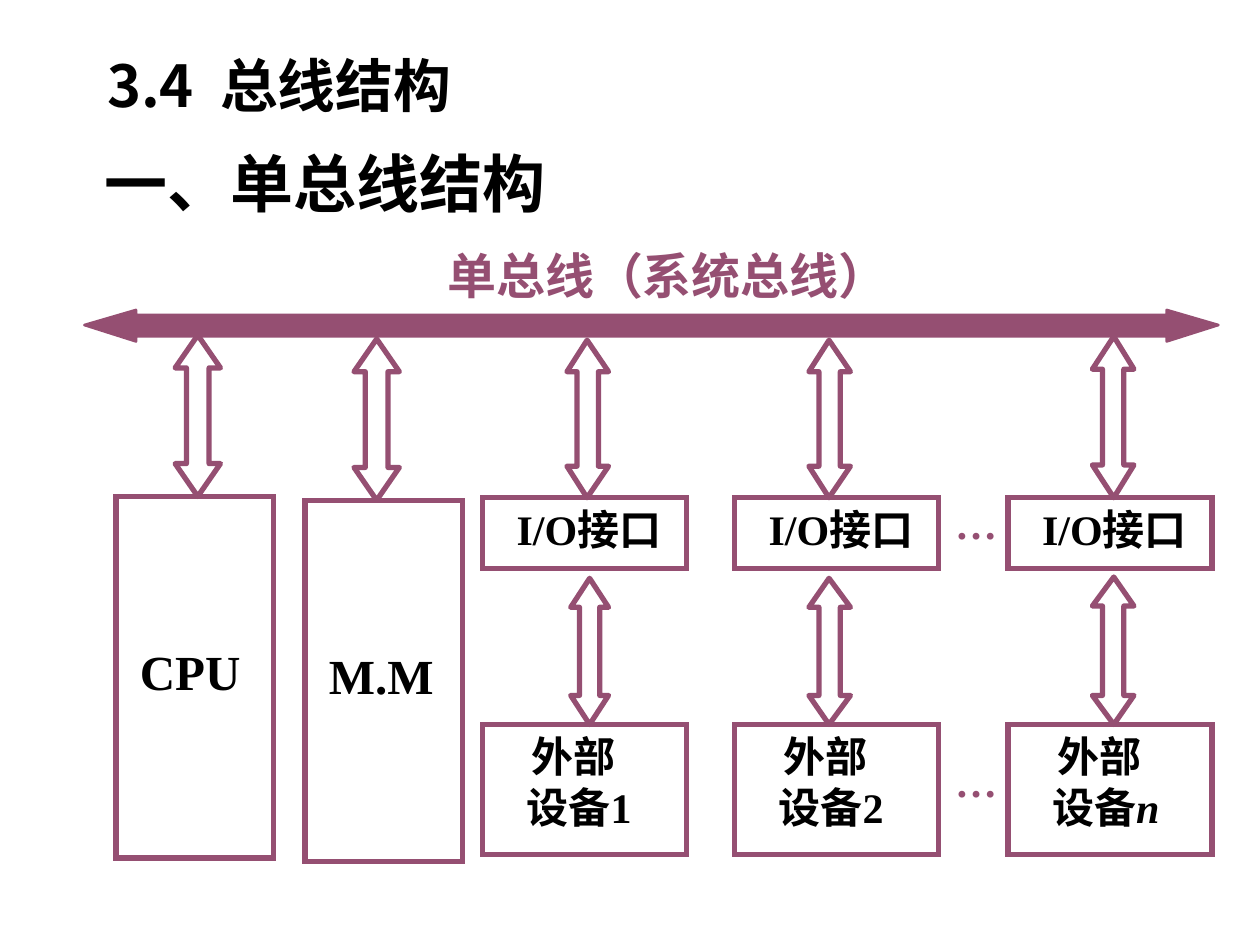
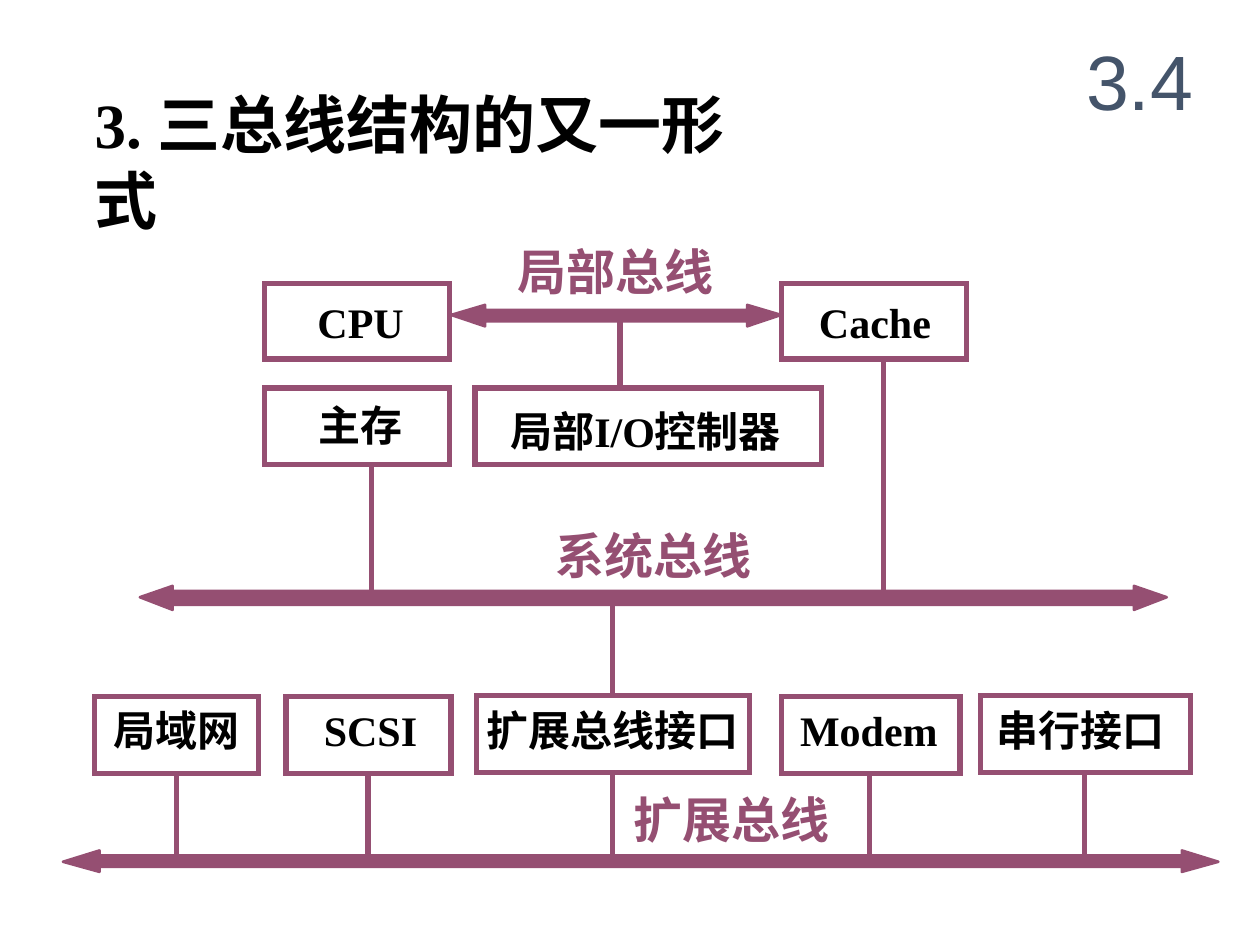
from dataclasses import dataclass

from lxml import etree
from pptx import Presentation
from pptx.dml.color import RGBColor
from pptx.enum import shapes, text
from pptx.oxml.ns import qn
from pptx.util import Pt

PX = 9144  # EMU per px, 100 px to the inch


@dataclass(frozen=True)
class Theme:
    ink: str = "000000"
    bus: str = "954F72"
    number: str = "44546A"
    serif: str = "Times New Roman"
    hei: str = "Noto Sans CJK SC"
    sans: str = "Arial"
    section: int = 33
    heading: int = 36
    corner: int = 44
    large: int = 28
    label: int = 24
    line: float = 3
    bus_line: float = 1.5


T = Theme()

# Content of slide 1: places are left, top, width, height
SINGLE_BUS = (67, 246, 900, 25, 41)  # last value: arrowhead length
UNITS = [("CPU", 92, 394, 139, 266), ("M.M", 242, 397, 281, 269)]
IO_LABEL = "I/O接口"
DEVICES = [  # label, box left, (left, top, width) of upper and lower arrow
    ("外部\n设备1", 383, (450, 270, 33), (453, 459, 30)),
    ("外部\n设备2", 583, (642, 270, 33), (642, 459, 33)),
    ("外部\n设备n", 800, (867, 267, 33), (867, 458, 33)),
]
IO_TOP, DEVICE_TOP = 395, 575
ELLIPSES = [(758, 395), (758, 600)]

# Content of slide 2
BUSES = [  # label, label place, arrow place and head length
    ("局部总线", (411, 192), (358, 242, 262, 17, 27)),
    ("系统总线", (441, 417), (111, 465, 815, 19, 26)),
    ("扩展总线", (503, 627), (50, 675, 917, 17, 29)),
]
BLOCKS = [  # label, box place, left and top inset of the label
    ("CPU", (210, 225, 147, 60), 42, 10),
    ("Cache", (620, 225, 147, 60), 30, 10),
    ("主存", (210, 308, 147, 61), 43, 9),
    ("局部I/O控制器", (377, 308, 275, 61), 28, 14),
    ("局域网", (75, 553, 130, 61), 15, 6),
    ("SCSI", (227, 553, 131, 61), 30, 6),
    ("扩展总线接口", (378, 552, 217, 61), 8, 7),
    ("Modem", (620, 553, 142, 61), 15, 6),
    ("串行接口", (778, 552, 167, 61), 13, 7),
]
LINKS = [  # x, top, bottom
    (492, 250, 308), (295, 368, 476), (701, 285, 475), (486, 476, 553),
    (140, 614, 685), (292, 614, 684), (486, 614, 685), (690, 614, 683),
    (861, 614, 685),
]


def color(value):
    return RGBColor.from_string(value)


def style(run, size, ink, face, bold=True):
    f = run.font
    f.size, f.bold, f.name = Pt(size), bold, face
    f.color.rgb = color(ink)
    ea = etree.SubElement(run._r.get_or_add_rPr(), qn("a:ea"))
    ea.set("typeface", T.hei)


def write(sp, words, size, face=None, ink=T.ink, inset=(0, 0, 0, 0),
          anchor=text.MSO_ANCHOR.TOP, align=text.PP_ALIGN.LEFT, bold=True):
    """Fill a shape with text; labels with Latin letters are set in serif."""
    if face is None:
        latin = any(c.isascii() and c.isalnum() for c in words)
        face = T.serif if latin else T.hei
    tf = sp.text_frame
    tf.text = words
    tf.word_wrap, tf.auto_size = True, text.MSO_AUTO_SIZE.NONE
    tf.vertical_anchor = anchor
    tf.margin_left, tf.margin_top, tf.margin_right, tf.margin_bottom = (
        v * PX for v in inset)
    for p in tf.paragraphs:
        p.alignment = align
        for r in p.runs:
            style(r, size, ink, face, bold)
    return tf


def place(sp, *box):
    sp.left, sp.top, sp.width, sp.height = (v * PX for v in box)


def add_text(slide, words, box, *args, **kw):
    sp = slide.shapes.add_textbox(*(v * PX for v in box))
    return write(sp, words, *args, **kw)


def add_title(slide, words, box, size, face, anchor, spacing):
    sp = slide.shapes.title
    place(sp, *box)
    tf = write(sp, words, size, face, inset=(10, 5, 10, 5), anchor=anchor)
    tf.paragraphs[0].line_spacing = spacing


def outline(sp, width, filled=False):
    sp.shadow.inherit = False
    if filled:
        sp.fill.solid()
        sp.fill.fore_color.rgb = color(T.bus)
    else:
        sp.fill.background()
    sp.line.color.rgb = color(T.bus)
    sp.line.width = Pt(width)


def add_box(slide, words, box, size, inset):
    sp = slide.shapes.add_shape(shapes.MSO_SHAPE.RECTANGLE,
                                *(v * PX for v in box))
    outline(sp, T.line)
    etree.SubElement(sp.line._get_or_add_ln(), qn("a:miter")).set("lim", "800000")
    return write(sp, words, size, inset=inset)


def double_arrow(slide, x, y, length, breadth, head, notch, vertical=False):
    mid = breadth / 2
    pts = [(0, mid), (head, breadth), (head, breadth - notch),
           (length - head, breadth - notch), (length - head, breadth),
           (length, mid), (length - head, 0), (length - head, notch),
           (head, notch), (head, 0)]
    pts = [(x + b, y + a) if vertical else (x + a, y + b) for a, b in pts]
    fb = slide.shapes.build_freeform(*pts[0], scale=PX)
    fb.add_line_segments(pts[1:], close=True)
    return fb.convert_to_shape()


def add_bus(slide, x, y, w, h, head):
    outline(double_arrow(slide, x, y, w, h, head, 4), T.bus_line, filled=True)


def add_exchange(slide, x, y, w, bottom):
    h = bottom - y
    sp = double_arrow(slide, x, y, h, w, h / 5, w / 4, vertical=True)
    outline(sp, T.line)


def add_link(slide, x, top, bottom):
    c = slide.shapes.add_connector(shapes.MSO_CONNECTOR.STRAIGHT,
                                   x * PX, top * PX, x * PX, bottom * PX)
    c.line.color.rgb = color(T.bus)
    c.line.width = Pt(T.line)
    etree.SubElement(c._element.spPr, qn("a:effectLst"))


def single_bus_slide(slide):
    add_title(slide, "3.4  总线结构", (75, 8, 850, 125), T.section, T.hei,
              text.MSO_ANCHOR.MIDDLE, 0.9)
    add_text(slide, "一、单总线结构", (73, 110, 502, 70), T.heading, T.serif,
             inset=(10, 5, 10, 5))
    add_text(slide, "单总线（系统总线）", (355, 195, 370, 47), T.large, ink=T.bus)
    add_bus(slide, *SINGLE_BUS)

    # Processor and memory
    for name, x, y, arrow_x, arrow_y in UNITS:
        add_box(slide, name, (x, y, 125, 287), T.large, (19, 115, 0, 0))
        add_exchange(slide, arrow_x, arrow_y, 36, y)

    # Interfaces with their devices
    for name, x, upper, lower in DEVICES:
        add_box(slide, IO_LABEL, (x, IO_TOP, 162, 56), T.label, (27, 5, 0, 0))
        tf = add_box(slide, name, (x, DEVICE_TOP, 162, 103), T.label,
                     (35, 5, 0, 5))
        first, last = tf.paragraphs
        first._p.get_or_add_pPr().set("indent", str(4 * PX))
        if name.endswith("n"):
            last.runs[0].text = last.text[:-1]
            r = last.add_run()
            r.text = "n"
            style(r, T.label, T.ink, T.serif)
            r.font.italic = True
        add_exchange(slide, *upper, IO_TOP)
        add_exchange(slide, *lower, DEVICE_TOP)
    for x, y in ELLIPSES:
        add_text(slide, "…", (x, y, 42, 40), T.label, T.serif, ink=T.bus)


def three_bus_slide(slide):
    add_title(slide, "3. 三总线结构的又一形式", (65, 63, 570, 130), T.heading,
              T.serif, text.MSO_ANCHOR.TOP, 1.0)
    add_text(slide, "3.4", (842, 17, 125, 92), T.corner, T.sans, T.number,
             inset=(10, 5, 10, 5), anchor=text.MSO_ANCHOR.MIDDLE,
             align=text.PP_ALIGN.CENTER, bold=False)
    for link in LINKS:
        add_link(slide, *link)
    for name, (x, y), arrow in BUSES:
        add_text(slide, name, (x, y, 170, 47), T.large, ink=T.bus)
        add_bus(slide, *arrow)
    for name, box, left, top in BLOCKS:
        add_box(slide, name, box, T.label, (left, top, 0, 0))


def main():
    prs = Presentation()
    prs.slide_width, prs.slide_height = 1000 * PX, 750 * PX
    title_only = prs.slide_layouts[5]
    for build in (single_bus_slide, three_bus_slide):
        build(prs.slides.add_slide(title_only))
    prs.save("out.pptx")


if __name__ == "__main__":
    main()
